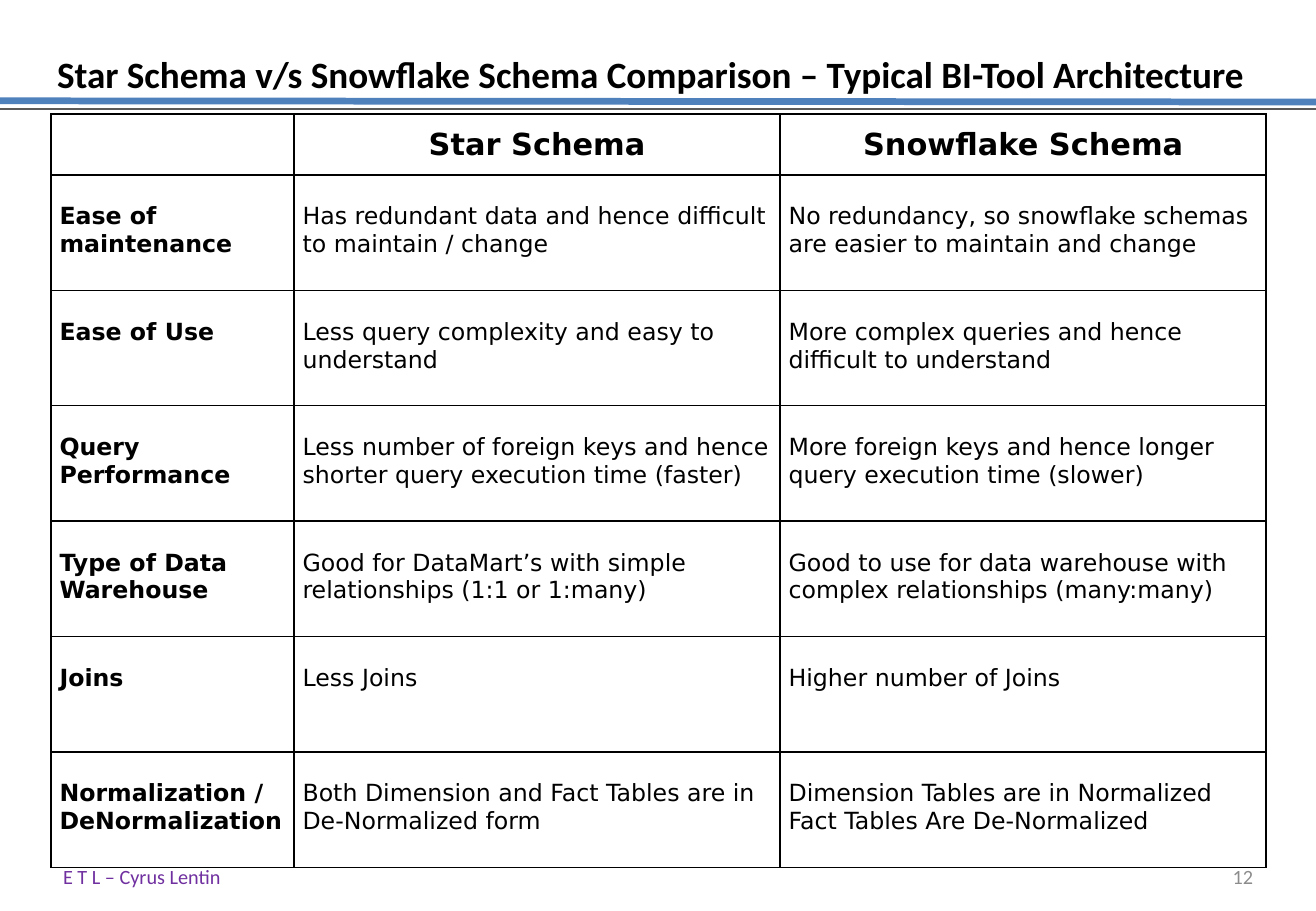
import dataclasses

import pptx
import pptx.dml.color
import pptx.enum.shapes
import pptx.enum.text
import pptx.oxml
import pptx.oxml.ns
import pptx.util

Inches, Pt = pptx.util.Inches, pptx.util.Pt
ALIGN, ANCHOR = pptx.enum.text.PP_ALIGN, pptx.enum.text.MSO_ANCHOR


@dataclasses.dataclass(frozen=True)
class Theme:
    black: str = "000000"
    accent: str = "4F81BD"
    rule: str = "595959"
    footer: str = "7030A0"
    number: str = "8C8C8C"
    heading_font: str = "Calibri"
    table_font: str = "DejaVu Sans"
    title_size: int = 22
    header_size: int = 18
    body_size: int = 14
    footer_size: int = 12


theme = Theme()


def write(frame, text, font, size, color, bold=False, align=ALIGN.LEFT):
    """Put one formatted run into a text frame and return its paragraph."""
    paragraph = frame.paragraphs[0]
    paragraph.alignment = align
    run = paragraph.add_run()
    run.text = text
    run.font.name, run.font.size, run.font.bold = font, Pt(size), bold
    run.font.color.rgb = pptx.dml.color.RGBColor.from_string(color)
    return paragraph


def outline(cell):
    """Draw a thin black border on all four sides of a cell."""
    properties = cell._tc.get_or_add_tcPr()
    for index, side in enumerate(("lnL", "lnR", "lnT", "lnB")):
        properties.insert(index, pptx.oxml.parse_xml(
            f'<a:{side} {pptx.oxml.ns.nsdecls("a")} w="{Pt(1)}"><a:solidFill>'
            f'<a:srgbClr val="{theme.black}"/></a:solidFill></a:{side}>'))


deck = pptx.Presentation()
deck.slide_width, deck.slide_height = Inches(10.83), Inches(7.5)
slide = deck.slides.add_slide(deck.slide_layouts[5])

# Double rule under the title
for start_y, end_y, color, width in ((0.83, 0.84, theme.accent, 4),
                                     (0.9, 0.9, theme.rule, 1)):
    rule = slide.shapes.add_connector(
        pptx.enum.shapes.MSO_CONNECTOR.STRAIGHT,
        0, Inches(start_y), deck.slide_width, Inches(end_y))
    rule.line.color.rgb = pptx.dml.color.RGBColor.from_string(color)
    rule.line.width = Pt(width)
    rule._element.spPr.append(pptx.oxml.parse_xml(
        f'<a:effectLst {pptx.oxml.ns.nsdecls("a")}/>'))

# Title
title = slide.shapes.title
title.left, title.top = Inches(0.42), Inches(0.07)
title.width, title.height = Inches(10), Inches(0.77)
heading = title.text_frame
heading.vertical_anchor = ANCHOR.BOTTOM
heading.auto_size = pptx.enum.text.MSO_AUTO_SIZE.NONE
heading.margin_left = heading.margin_right = Inches(0.05)
heading.margin_top = heading.margin_bottom = Inches(0.05)
write(heading,
      "Star Schema v/s Snowflake Schema Comparison – Typical BI-Tool Architecture",
      theme.heading_font, theme.title_size, theme.black,
      bold=True).line_spacing = Pt(theme.title_size)

# Footer and slide number
for text, left, width, color, align in (
        ("E T L – Cyrus Lentin", 0.42, 3.42, theme.footer, ALIGN.LEFT),
        ("12", 7.76, 2.65, theme.number, ALIGN.RIGHT)):
    footer = slide.shapes.add_textbox(
        Inches(left), Inches(7.08), Inches(width), Inches(0.27)).text_frame
    footer.word_wrap = True
    footer.vertical_anchor = ANCHOR.MIDDLE
    write(footer, text, theme.heading_font, theme.footer_size, color, align=align)

# Comparison table
comparison = (
    ("", "Star Schema", "Snowflake Schema"),
    ("Ease of maintenance",
     "Has redundant data and hence difficult to maintain / change",
     "No redundancy, so snowflake schemas are easier to maintain and change"),
    ("Ease of Use",
     "Less query complexity and easy to understand",
     "More complex queries and hence difficult to understand"),
    ("Query Performance",
     "Less number of foreign keys and hence shorter query execution time (faster)",
     "More foreign keys and hence longer query execution time (slower)"),
    ("Type of Data Warehouse",
     "Good for DataMart’s with simple relationships (1:1 or 1:many)",
     "Good to use for data warehouse with complex relationships (many:many)"),
    ("Joins", "Less Joins", "Higher number of Joins"),
    ("Normalization / DeNormalization",
     "Both Dimension and Fact Tables are in De-Normalized form",
     "Dimension Tables are in Normalized Fact Tables Are De-Normalized"),
)
schemas = slide.shapes.add_table(
    len(comparison), 3, Inches(0.42), Inches(0.94), Inches(10), Inches(6.2)).table
schemas.first_row = schemas.horz_banding = False
for column, width in zip(schemas.columns, (2, 4, 4)):
    column.width = Inches(width)

for row_index, texts in enumerate(comparison):
    is_header = row_index == 0
    schemas.rows[row_index].height = Inches(0.5 if is_header else 0.95)
    for column_index, text in enumerate(texts):
        cell = schemas.cell(row_index, column_index)
        cell.fill.background()
        outline(cell)
        cell.margin_left = cell.margin_right = Inches(0.07)
        cell.margin_top = Inches(0 if is_header else 0.23)
        cell.margin_bottom = 0
        cell.vertical_anchor = ANCHOR.MIDDLE if is_header else ANCHOR.TOP
        if text:
            write(cell.text_frame, text, theme.table_font,
                  theme.header_size if is_header else theme.body_size,
                  theme.black, bold=is_header or column_index == 0,
                  align=ALIGN.CENTER if is_header else ALIGN.LEFT)

deck.save("out.pptx")
